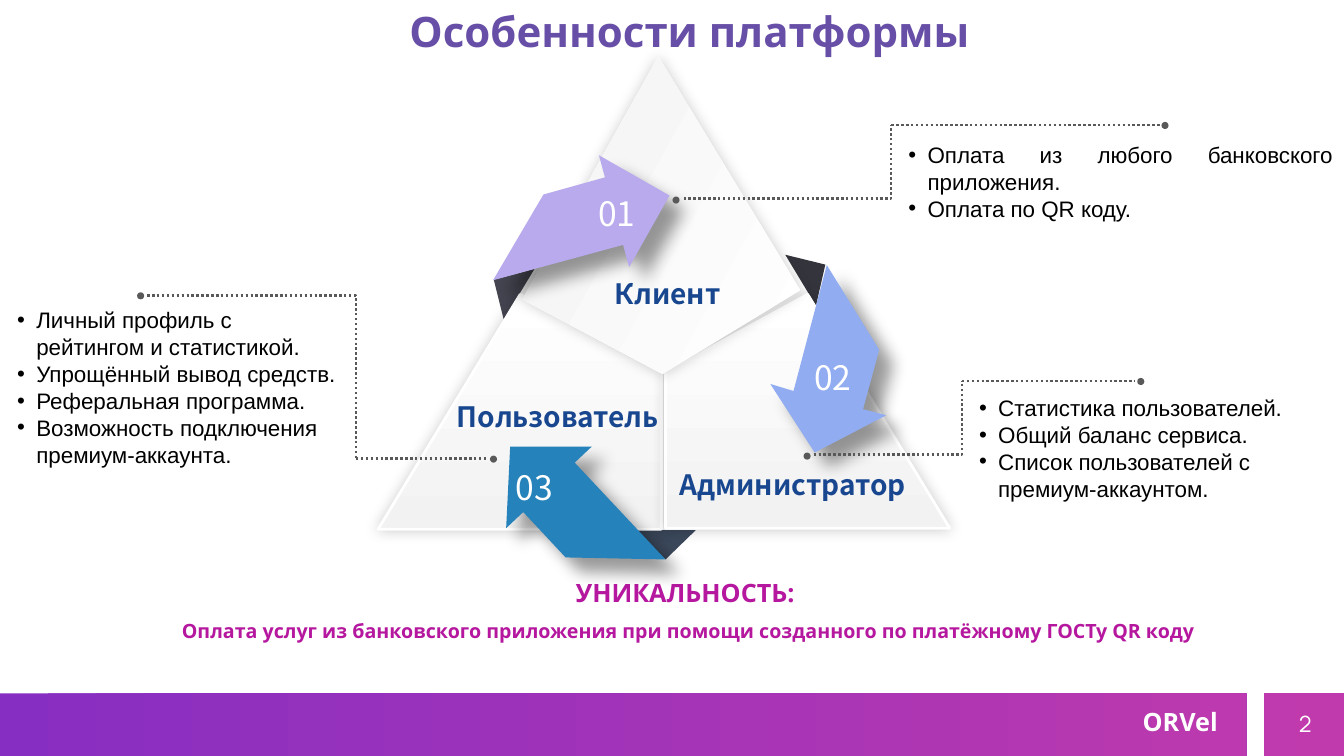
"""Build the slide on platform features with a three-part triangle and callouts."""
from dataclasses import dataclass

from lxml import etree
from pptx import Presentation
from pptx import util as u
from pptx.dml.color import RGBColor
from pptx.enum import dml, shapes, text
from pptx.oxml.ns import qn

OPEN, NOTO, ARIAL = "Open Sans", "Noto Sans CJK SC", "Arial"
WHITE, GREY, NAVY, MAGENTA = "FFFFFF", "595959", "18478F", "B5179E"
LEFT, CENTER, JUSTIFY = text.PP_ALIGN.LEFT, text.PP_ALIGN.CENTER, text.PP_ALIGN.JUSTIFY
DOT = 0.07
Points = list[tuple[float, float]]


@dataclass
class Shadow:
    opacity: int
    blur: float
    distance: float
    direction: int


@dataclass
class Style:
    size: float
    font: str
    color: str
    bold: bool = False
    align: text.PP_ALIGN = CENTER


@dataclass
class Label:
    words: str
    left: float
    top: float
    width: float
    height: float
    style: Style
    inset: tuple[float, float] = (0.1, 0.05)
    anchor: text.MSO_ANCHOR = text.MSO_ANCHOR.TOP


@dataclass
class Panel:
    points: Points
    angle: int
    outlined: bool


@dataclass
class Fold:
    left: float
    top: float
    width: float
    turn: float
    color: str


@dataclass
class Arrow:
    points: Points
    color: str


@dataclass
class Callout:
    elbow: Points
    end: tuple[float, float]
    dots: Points
    items: list[str]
    box: tuple[float, float, float, float]
    align: text.PP_ALIGN = LEFT


def rgb(color: str) -> RGBColor:
    return RGBColor.from_string(color)


def inches(*values: float) -> list[u.Emu]:
    return [u.Inches(value) for value in values]


def plain(shape, color: str | None) -> None:
    shape.shadow.inherit = False
    shape.line.fill.background()
    if color:
        shape.fill.solid()
        shape.fill.fore_color.rgb = rgb(color)
    else:
        shape.fill.background()


def gradient(shape, first: str, last: str, angle: int) -> None:
    shape.fill.gradient()
    shape.fill.gradient_angle = angle
    for stop, color, position in zip(shape.fill.gradient_stops, (first, last), (0, 1)):
        stop.color.rgb = rgb(color)
        stop.position = position


def cast(shape, shadow: Shadow) -> None:
    effects = shape._element.spPr.find(qn("a:effectLst"))
    outer = etree.SubElement(effects, qn("a:outerShdw"), blurRad=str(u.Pt(shadow.blur)),
                             dist=str(u.Pt(shadow.distance)),
                             dir=str(shadow.direction * 60000), rotWithShape="0")
    black = etree.SubElement(outer, qn("a:srgbClr"), val="000000")
    etree.SubElement(black, qn("a:alpha"), val=str(shadow.opacity * 1000))


def outline(page, *paths: Points, color: str | None = None, close: bool = True):
    builder = page.shapes.build_freeform(*inches(*paths[0][0]))
    for index, points in enumerate(paths):
        if index:
            builder.move_to(*inches(*points[0]))
        builder.add_line_segments([tuple(inches(*point)) for point in points[1:]], close=close)
    shape = builder.convert_to_shape()
    plain(shape, color)
    return shape


def dotted(line) -> None:
    line.color.rgb = rgb(GREY)
    line.width = u.Pt(1.76)
    line.dash_style = dml.MSO_LINE.ROUND_DOT


def write(para, words: str, style: Style) -> None:
    para.alignment = style.align
    span = para.add_run()
    span.text = words
    span.font.size = u.Pt(style.size)
    span.font.name = style.font
    span.font.bold = style.bold
    span.font.color.rgb = rgb(style.color)


def prepare(box, inset: tuple[float, float], anchor=text.MSO_ANCHOR.TOP):
    frame = box.text_frame
    frame.word_wrap = True
    frame.auto_size = text.MSO_AUTO_SIZE.NONE
    frame.vertical_anchor = anchor
    frame.margin_left = frame.margin_right = u.Inches(inset[0])
    frame.margin_top = frame.margin_bottom = u.Inches(inset[1])
    return frame


def draw_label(page, label: Label):
    box = page.shapes.add_textbox(*inches(label.left, label.top, label.width, label.height))
    frame = prepare(box, label.inset, label.anchor)
    write(frame.paragraphs[0], label.words, label.style)
    return frame


def draw_panel(page, panel: Panel) -> None:
    shape = outline(page, panel.points)
    gradient(shape, WHITE, "F2F2F2", panel.angle)
    if panel.outlined:
        shape.line.color.rgb = rgb(WHITE)
        shape.line.width = u.Pt(2)
    cast(shape, Shadow(20, 10, 0, 0))


def draw_fold(page, fold: Fold) -> None:
    shape = page.shapes.add_shape(shapes.MSO_SHAPE.ISOSCELES_TRIANGLE,
                                  *inches(fold.left, fold.top, fold.width, 0.29))
    shape.rotation = (fold.turn + 180) % 360
    shape.adjustments[0] = 0.49
    plain(shape, fold.color)


def draw_callout(page, callout: Callout) -> None:
    dotted(outline(page, callout.elbow, close=False).line)
    line = page.shapes.add_connector(shapes.MSO_CONNECTOR.STRAIGHT,
                                     *inches(*callout.elbow[-1], *callout.end))
    dotted(line.line)
    etree.SubElement(line._element.spPr, qn("a:effectLst"))
    for left, top in callout.dots:
        plain(page.shapes.add_shape(shapes.MSO_SHAPE.OVAL, *inches(left, top, DOT, DOT)), GREY)
    frame = prepare(page.shapes.add_textbox(*inches(*callout.box)), (0.07, 0.04))
    for index, item in enumerate(callout.items):
        para = frame.add_paragraph() if index else frame.paragraphs[0]
        write(para, item, Style(16, ARIAL, "000000", align=callout.align))
        props = para._p.get_or_add_pPr()
        props.set("marL", str(u.Inches(0.19)))
        props.set("indent", str(u.Inches(-0.19)))
        etree.SubElement(props, qn("a:buFont"), typeface=ARIAL)
        etree.SubElement(props, qn("a:buChar"), char="•")


NUMBER = Style(24, NOTO, WHITE)
ROLE = Style(20, NOTO, NAVY, True)
PANELS = [
    Panel([(5.16, 2.92), (6.56, 3.7), (6.56, 5.25), (3.75, 5.25)], 270, True),
    Panel([(8.01, 2.92), (6.6, 3.69), (6.6, 5.24), (9.42, 5.24)], 270, True),
    Panel([(5.18, 2.97), (6.57, 3.71), (7.94, 2.88), (6.53, 0.56)], 151, False),
]
FOLDS = [Fold(6.29, 5.26, 0.61, 0, "3B485B"), Fold(4.73, 2.7, 0.59, 121.1, "454551"),
         Fold(7.77, 2.56, 0.59, 238.9, "34343D")]
ARROWS = [
    Arrow([(6.24, 2.65), (6.18, 2.43), (4.89, 2.78), (5.39, 1.93), (6, 1.76), (5.94, 1.54),
           (6.64, 1.94)], "B8AAED"),
    Arrow([(5.87, 4.43), (5.7, 4.59), (6.6, 5.55), (5.61, 5.53), (5.19, 5.08), (5.02, 5.24),
           (5.06, 4.43)], "2582BB"),
    Arrow([(7.64, 3.81), (7.87, 3.88), (8.2, 2.63), (8.72, 3.47), (8.56, 4.06), (8.79, 4.12),
           (8.08, 4.49)], "91ACF1"),
]
LABELS = [
    Label("01", 5.67, 1.86, 0.9, 0.5, NUMBER),
    Label("02", 7.81, 3.49, 0.9, 0.5, NUMBER),
    Label("03", 4.85, 4.58, 0.9, 0.5, NUMBER),
    Label("Клиент", 5.67, 2.69, 1.9, 0.43, ROLE),
    Label("Пользователь", 4.43, 3.91, 2.33, 0.43, Style(20, NOTO, NAVY, True, LEFT)),
    Label("Администратор", 6.59, 4.59, 2.54, 0.43, ROLE),
    Label("ORVel", 11.13, 6.91, 1.15, 0.5, Style(18, OPEN, WHITE, True), (0.1, 0.1)),
    Label("2", 12.56, 6.88, 0.77, 0.6, Style(16, "Manrope", WHITE),
          anchor=text.MSO_ANCHOR.MIDDLE),
]
CALLOUTS = [
    Callout([(1.46, 2.93), (3.53, 2.93), (3.53, 4.55)], (4.84, 4.55),
            [(4.86, 4.52), (1.36, 2.9)],
            ["Личный профиль с рейтингом и статистикой.", "Упрощённый вывод средств.",
             "Реферальная программа.", "Возможность подключения премиум-аккаунта."],
            (0.1, 3, 3.32, 1.67)),
    Callout([(6.78, 1.97), (8.84, 1.97), (8.84, 1.24)], (11.52, 1.24),
            [(11.52, 1.21), (6.67, 1.95)],
            ["Оплата из любого банковского приложения.", "Оплата по QR коду."],
            (8.94, 1.36, 4.35, 1.27), JUSTIFY),
    Callout([(8.07, 4.51), (9.54, 4.51), (9.54, 3.78)], (11.25, 3.78),
            [(11.28, 3.75), (7.97, 4.49)],
            ["Статистика пользователей.", "Общий баланс сервиса.",
             "Список пользователей с премиум-аккаунтом."], (9.64, 3.87, 3.77, 1.14)),
]


def main() -> None:
    deck = Presentation()
    deck.slide_width, deck.slide_height = inches(13.33, 7.5)
    page = deck.slides.add_slide(deck.slide_layouts[5])
    title = page.shapes.title
    title.left, title.top, title.width, title.height = inches(2.62, -0.05, 8.44, 0.77)
    write(prepare(title, (0.1, 0.1)).paragraphs[0], "Особенности платформы",
          Style(30, OPEN, "674EA7", True))
    band = outline(page, *([(left, 6.88), (right, 6.88), (right, 7.5), (left, 7.5)]
                           for left, right in ((0, 12.36), (12.54, 13.33))))
    gradient(band, "872EC2", "C03AAD", 0)
    frame = draw_label(page, Label("УНИКАЛЬНОСТЬ: ", 0.86, 5.73, 11.94, 0.75,
                                   Style(18, OPEN, MAGENTA, True), (0.1, 0)))
    para = frame.add_paragraph()
    para.space_before = u.Pt(8)
    write(para, "Оплата услуг из банковского приложения при помощи созданного "
          "по платёжному ГОСТу QR коду", Style(14, OPEN, MAGENTA, True))
    for fold in FOLDS:
        draw_fold(page, fold)
    for panel in PANELS:
        draw_panel(page, panel)
    for arrow in ARROWS:
        cast(outline(page, arrow.points, color=arrow.color), Shadow(40, 12, 14, 45))
    for label in LABELS:
        draw_label(page, label)
    for callout in CALLOUTS:
        draw_callout(page, callout)
    deck.save("out.pptx")


main()
